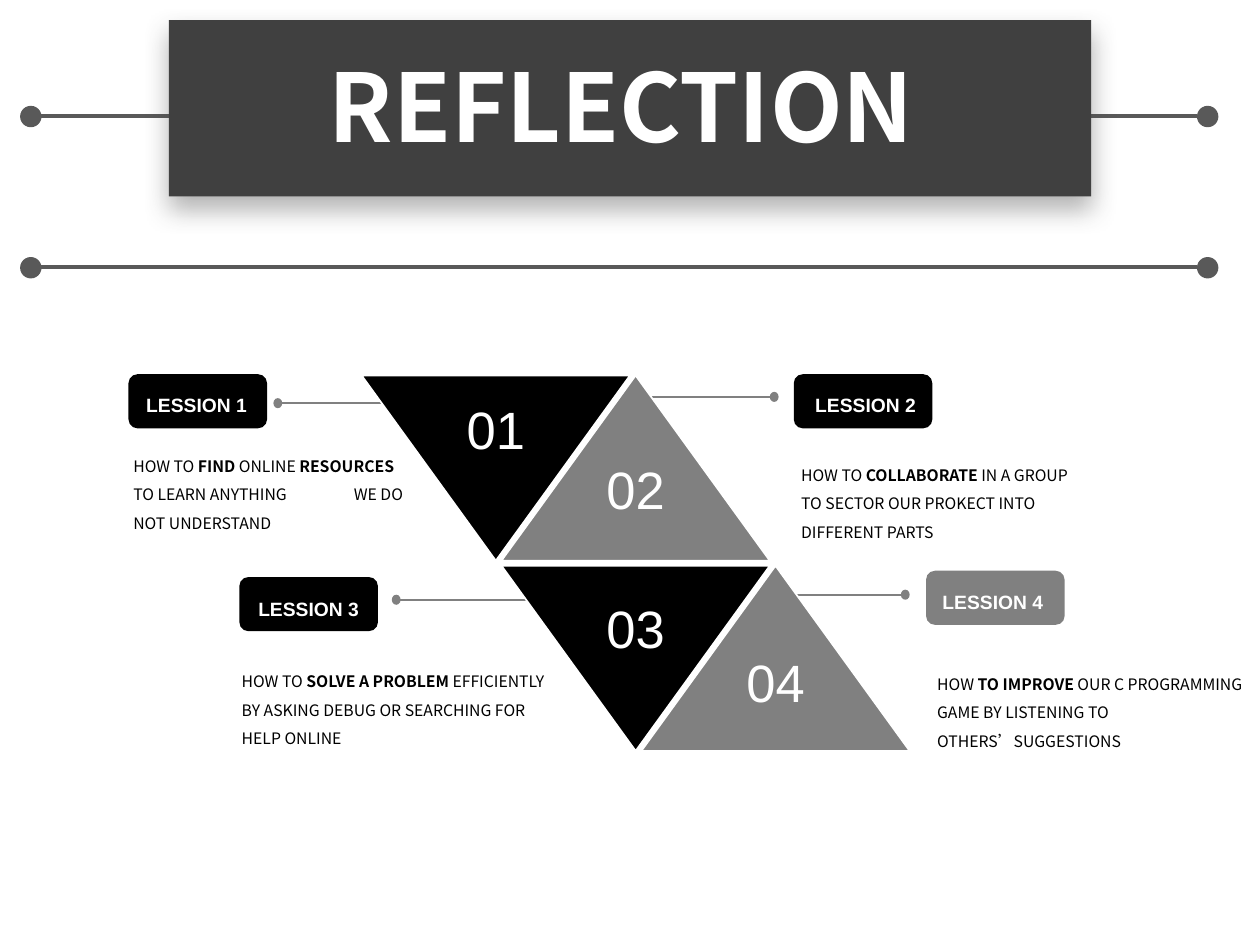
from lxml.etree import SubElement
from pptx import Presentation
from pptx.dml.color import RGBColor
from pptx.enum.shapes import MSO_CONNECTOR, MSO_SHAPE
from pptx.enum.text import MSO_AUTO_SIZE, PP_ALIGN
from pptx.oxml.ns import qn
from pptx.util import Inches, Pt

SANS, CJK = "Arial", "Noto Sans CJK SC"
BLACK, WHITE, GRAY, DARK, RAIL = "000000", "FFFFFF", "808080", "404040", "595959"

LESSONS = [
    dict(num="01", col=0, row=0, up=False, num_y=3.1,
         badge=(1.02, 2.97), fill=BLACK, label=(1.09, 3.03, 1.07),
         link=(2.2, 3.3, 3.2), dot=2.17, body=(0.96, 3.5, 2.36), tab=1.75,
         runs=[("HOW TO ", False), ("FIND", True), (" ONLINE ", False), ("RESOURCES", True),
               (" TO LEARN ANYTHING\tWE DO NOT UNDERSTAND", False)]),
    dict(num="02", col=1, row=0, up=True, num_y=3.58,
         badge=(6.3, 2.97), fill=BLACK, label=(6.4, 3.03, 1.09),
         link=(5, 6.11, 3.15), dot=6.11, body=(6.26, 3.57, 2.32), tab=None,
         runs=[("HOW TO ", False), ("COLLABORATE", True),
               (" IN A GROUP TO SECTOR OUR PROKECT INTO DIFFERENT PARTS", False)]),
    dict(num="03", col=1, row=1, up=False, num_y=4.68,
         badge=(1.9, 4.58), fill=BLACK, label=(1.98, 4.65, 1.2),
         link=(3.14, 4.25, 4.76), dot=3.11, body=(1.82, 5.21, 2.66), tab=None,
         runs=[("HOW TO ", False), ("SOLVE A PROBLEM ", True),
               ("EFFICIENTLY BY ASKING DEBUG OR SEARCHING FOR HELP ONLINE", False)]),
    dict(num="04", col=2, row=1, up=True, num_y=5.11,
         badge=(7.35, 4.53), fill=GRAY, label=(7.41, 4.59, 1.06),
         link=(6.05, 7.15, 4.72), dot=7.15, body=(7.34, 5.23, 2.66), tab=None,
         runs=[("HOW ", False), ("TO IMPROVE ", True),
               ("OUR C PROGRAMMING GAME BY LISTENING TO OTHERS’SUGGESTIONS", False)]),
]

deck = Presentation()
deck.slide_width, deck.slide_height = Inches(10), Inches(7.5)
slide = deck.slides.add_slide(deck.slide_layouts[6])
shapes = slide.shapes


def color(code):
    return RGBColor.from_string(code)


def add_shape(kind, x, y, w, h, fill, edge=None):
    shape = shapes.add_shape(kind, Inches(x), Inches(y), Inches(w), Inches(h))
    shape.shadow.inherit = False
    shape.fill.solid()
    shape.fill.fore_color.rgb = color(fill)
    if edge:
        shape.line.color.rgb = color(edge)
        shape.line.width = Pt(1)
    else:
        shape.line.fill.background()
    return shape


def add_line(x1, x2, y, tint, width):
    line = shapes.add_connector(
        MSO_CONNECTOR.STRAIGHT, Inches(x1), Inches(y), Inches(x2), Inches(y))
    line.line.color.rgb = color(tint)
    line.line.width = Pt(width)
    SubElement(line._element.spPr, qn("a:effectLst"))


def add_text(x, y, w, h, runs, face, size, tint, align=PP_ALIGN.LEFT,
             space=None, wrap=True, tight=False, tab=None):
    box = shapes.add_textbox(Inches(x), Inches(y), Inches(w), Inches(h))
    frame = box.text_frame
    frame.word_wrap = wrap
    frame.auto_size = MSO_AUTO_SIZE.SHAPE_TO_FIT_TEXT
    if tight:
        frame.margin_left = frame.margin_right = Inches(0.07)
        frame.margin_top = frame.margin_bottom = 0
    para = frame.paragraphs[0]
    para.alignment = align
    if space:
        para.line_spacing = space
    if tab:
        stops = SubElement(para._p.get_or_add_pPr(), qn("a:tabLst"))
        SubElement(stops, qn("a:tab"), pos=str(Inches(tab)), algn="l")
    para.font.name, para.font.size = face, Pt(size)
    para.font.color.rgb = color(tint)
    for words, bold in runs:
        run = para.add_run()
        run.text = words
        run.font.bold = bold


def add_shadow(shape):
    effects = shape._element.spPr.find(qn("a:effectLst"))
    outer = SubElement(effects, qn("a:outerShdw"), blurRad=str(Pt(15)), dist=str(Pt(7)),
                       dir="5400000", algn="ctr", rotWithShape="0")
    tint = SubElement(outer, qn("a:srgbClr"), val=DARK)
    SubElement(tint, qn("a:alpha"), val="40000")


for y in (0.92, 2.12):
    add_line(0.32, 9.5, y, RAIL, 2.25)
    for x in (0.16, 9.5):
        add_shape(MSO_SHAPE.OVAL, x, y - 0.08, 0.17, 0.17, RAIL)

add_shadow(add_shape(MSO_SHAPE.RECTANGLE, 1.34, 0.16, 7.32, 1.4, DARK))
add_text(2.24, 0.33, 5.38, 1.01, [("REFLECTION", True)], CJK, 54, WHITE, PP_ALIGN.CENTER)

for item in LESSONS:
    start, end, y = item["link"]
    add_line(start, end, y, GRAY, 1)
    add_shape(MSO_SHAPE.OVAL, item["dot"], y - 0.04, 0.07, 0.08, GRAY)

for item in LESSONS:
    x, y = 2.87 + 1.11 * item["col"], 2.98 + 1.51 * item["row"]
    tri = add_shape(MSO_SHAPE.ISOSCELES_TRIANGLE, x, y, 2.13, 1.47,
                    GRAY if item["up"] else BLACK, WHITE)
    tri.rotation = 0 if item["up"] else 180
    add_text(x + 0.73, item["num_y"], 0.67, 0.61, [(item["num"], False)],
             SANS, 30, WHITE, PP_ALIGN.CENTER, wrap=False)

for order, item in enumerate(LESSONS, 1):
    add_shape(MSO_SHAPE.ROUNDED_RECTANGLE, *item["badge"], 1.1, 0.43, item["fill"])
    add_text(*item["label"], 0.24, [(f"LESSION {order}", True)], SANS, 11, WHITE,
             space=1.5, tight=True)
    add_text(*item["body"], 0.76, item["runs"], CJK, 9, BLACK, space=1.5, tab=item["tab"])

deck.save("out.pptx")
